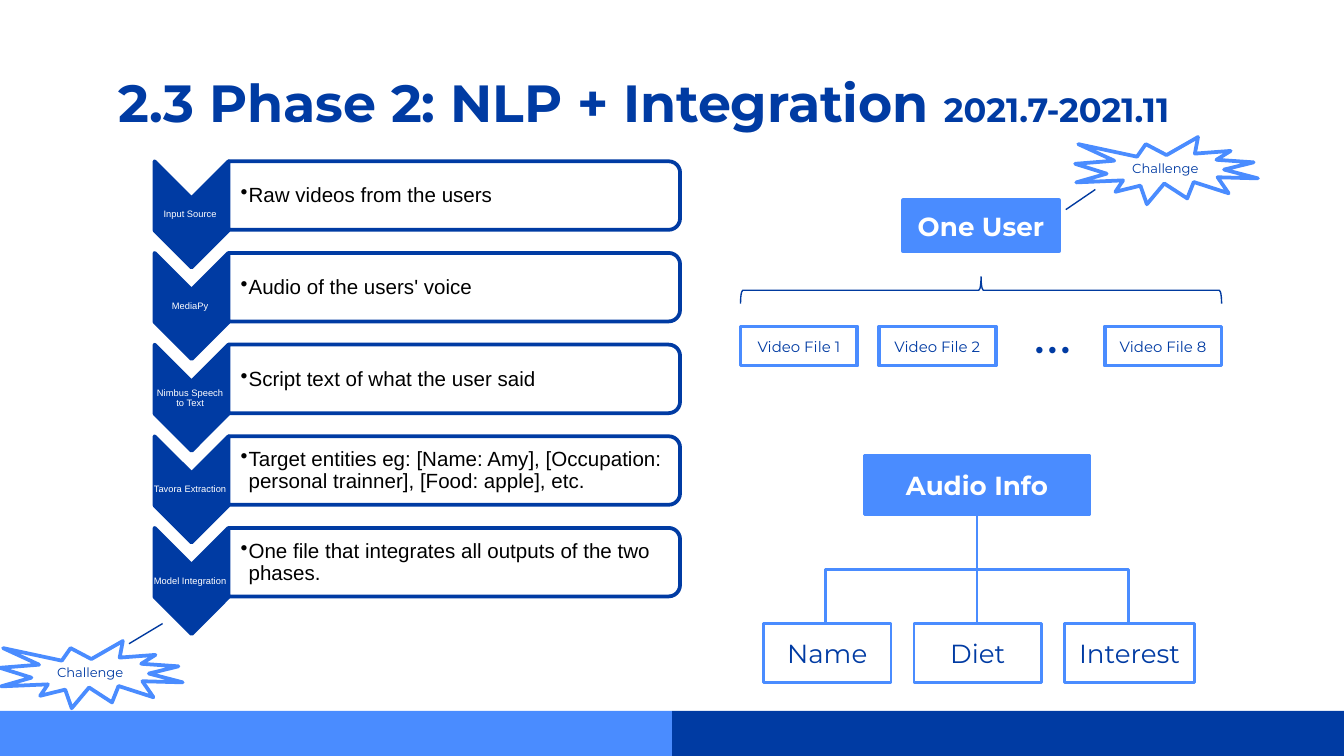
from dataclasses import dataclass

from lxml.etree import SubElement
from pptx import Presentation
from pptx.dml.color import RGBColor
from pptx.enum.shapes import MSO_CONNECTOR, MSO_SHAPE
from pptx.enum.text import MSO_ANCHOR, MSO_AUTO_SIZE, PP_ALIGN
from pptx.oxml.ns import qn
from pptx.util import Inches, Pt

NAVY, BLUE, WHITE, BLACK, INK = "003BA3", "4A8CFF", "FFFFFF", "000000", "003A9F"
UNIT = Inches(10) // 100  # the slide is a grid of 100 columns by 56.25 rows
SLIDE_ROWS = 56.25
STEP_ROWS = 6.82


@dataclass
class Box:
    """Place on the grid, in columns and rows."""
    x: float
    y: float
    w: float
    h: float

    def emu(self) -> list[int]:
        return [grid(v) for v in (self.x, self.y, self.w, self.h)]

    def turned(self) -> "Box":
        """The frame that covers this box after a quarter turn."""
        return Box(self.x + (self.w - self.h) / 2, self.y + (self.h - self.w) / 2, self.h, self.w)


@dataclass
class Label:
    text: str
    size: float
    color: str = NAVY
    bold: bool = False
    font: str = "Montserrat"


@dataclass
class Step:
    tool: str
    output: str


STEPS = [
    Step("Input Source", "Raw videos from the users"),
    Step("MediaPy", "Audio of the users' voice"),
    Step("Nimbus Speech to Text", "Script text of what the user said"),
    Step("Tavora Extraction",
         "Target entities eg: [Name: Amy], [Occupation: personal trainner], [Food: apple], etc."),
    Step("Model Integration", "One file that integrates all outputs of the two phases."),
]
VIDEOS = {"Video File 1": 55.1, "Video File 2": 65.4, "Video File 8": 82.2}
TOPICS = {"Name": Box(56.8, 46.4, 9.5, 4.4), "Diet": Box(68, 46.4, 9.5, 4.4),
          "Interest": Box(79.2, 46.4, 9.7, 4.4)}
CHALLENGES = {(80, 10.2): ((81.5, 14.1), (79.3, 15.6)),
              (0, 47.7): ((12.1, 46.4), (9.6, 47.9))}


def grid(v: float) -> int:
    return round(v * UNIT)


def rgb(color: str) -> RGBColor:
    return RGBColor.from_string(color)


def add_run(p, label: Label) -> None:
    r = p.add_run()
    r.text = label.text
    look = {"name": label.font, "size": Pt(label.size), "bold": label.bold}
    for name, value in look.items():
        setattr(r.font, name, value)
    r.font.color.rgb = rgb(label.color)


def write(sp, label: Label, margins=(0.1, 0.05, 0.1, 0.05), align=PP_ALIGN.CENTER,
          anchor=MSO_ANCHOR.MIDDLE, spacing: float = 1.0):
    tf = sp.text_frame
    left, top, right, bottom = map(Inches, margins)
    frame = {"word_wrap": True, "vertical_anchor": anchor, "margin_left": left,
             "margin_top": top, "margin_right": right, "margin_bottom": bottom}
    for name, value in frame.items():
        setattr(tf, name, value)
    p = tf.paragraphs[0]
    p.alignment, p.line_spacing = align, spacing
    add_run(p, label)
    return p


def add_shape(s, kind, box: Box, fill: str | None = None, line: str | None = None,
              width: float = 2, rotation: float = 0, label: Label | None = None):
    sp = s.shapes.add_shape(kind, *box.emu())
    sp.shadow.inherit = False
    sp.rotation = rotation
    if fill:
        sp.fill.solid()
        sp.fill.fore_color.rgb = rgb(fill)
    else:
        sp.fill.background()
    if line:
        sp.line.color.rgb = rgb(line)
        sp.line.width = Pt(width)
    else:
        sp.line.fill.background()
    if label:
        write(sp, label)
    return sp


def add_text(s, box: Box, label: Label, **layout):
    sp = s.shapes.add_textbox(*box.emu())
    return sp, write(sp, label, **layout)


def add_line(s, start, end, color: str, width: float, kind=MSO_CONNECTOR.STRAIGHT):
    c = s.shapes.add_connector(kind, *map(grid, (*start, *end)))
    c.line.color.rgb = rgb(color)
    c.line.width = Pt(width)
    SubElement(c._element.spPr, qn("a:effectLst"))
    return c


def add_branch(s, box: Box, to_right: bool) -> None:
    """Elbow that leaves vertically and joins two opposite corners of the box."""
    t = box.turned()
    c = add_line(s, (t.x, t.y), (t.x + t.w, t.y + t.h), BLUE, 1.5, MSO_CONNECTOR.ELBOW)
    xfrm = c._element.spPr.find(qn("a:xfrm"))
    xfrm.set("rot", "16200000")
    if to_right:
        xfrm.set("flipH", "1")


def add_step(s, step: Step, y: float) -> None:
    add_shape(s, MSO_SHAPE.CHEVRON, Box(11.5, y, 5.5, 7.9).turned(), NAVY, NAVY, rotation=90)
    add_text(s, Box(11.4, y + 2.8, 5.5, 2.4), Label(step.tool, 5, WHITE, font="Arial"),
             margins=(0, 0, 0, 0), spacing=0.9)
    add_shape(s, MSO_SHAPE.ROUND_2_SAME_RECTANGLE, Box(17, y, 33.6, 5.1).turned(),
              WHITE, NAVY, rotation=90)
    _, p = add_text(s, Box(17, y + 0.3, 33.4, 4.6), Label(step.output, 11, BLACK, font="Arial"),
                    margins=(0.09, 0.01, 0.01, 0.01), align=PP_ALIGN.LEFT, spacing=0.9)
    pPr = p._p.get_or_add_pPr()
    for name, inches in {"marL": 0.06, "indent": -0.06}.items():
        pPr.set(name, str(Inches(inches)))
    SubElement(pPr, qn("a:buChar")).set("char", "•")


def add_title(s) -> None:
    sp = s.shapes.title
    sp.left, sp.top, sp.width, sp.height = Box(7.8, 4.2, 84.3, 6.3).emu()
    p = write(sp, Label("2.3 Phase 2: NLP + Integration ", 28, bold=True),
              margins=(0.1,) * 4, align=PP_ALIGN.LEFT, anchor=MSO_ANCHOR.TOP)
    add_run(p, Label("2021.7-2021.11", 18, bold=True))
    sp.text_frame.auto_size = MSO_AUTO_SIZE.NONE


def add_audio_tree(s) -> None:
    rect, middle, top, bottom = MSO_SHAPE.RECTANGLE, 72.7, 38.3, 46.4
    reach = 11.25
    add_branch(s, Box(middle, top, reach, bottom - top), to_right=True)
    add_branch(s, Box(middle - reach, top, reach, bottom - top), to_right=False)
    add_shape(s, rect, Box(64.3, 33.9, 16.8, 4.4), BLUE, BLUE, 1.5,
              label=Label("Audio Info", 14, WHITE, True))
    for name, box in TOPICS.items():
        add_shape(s, rect, box, None, BLUE, 1.5, label=Label(name, 14))
    add_line(s, (middle, top), (middle, bottom), BLUE, 1.5)


def add_user_files(s) -> None:
    rect = MSO_SHAPE.RECTANGLE
    for name, x in VIDEOS.items():
        add_shape(s, rect, Box(x, 24.3, 8.7, 2.9), WHITE, BLUE, label=Label(name, 8))
    sp, _ = add_text(s, Box(71.6, 21.4, 13.5, 6.4), Label("...", 32), anchor=MSO_ANCHOR.TOP)
    sp.text_frame.auto_size = MSO_AUTO_SIZE.SHAPE_TO_FIT_TEXT
    brace = add_shape(s, MSO_SHAPE.RIGHT_BRACE, Box(55.1, 20.6, 35.8, 2).turned(),
                      None, INK, 0.75, 90)
    brace._element.spPr.find(qn("a:xfrm")).set("flipH", "1")
    add_shape(s, rect, Box(67.2, 14.9, 11.6, 3.8), BLUE, BLUE,
              label=Label("One User", 14, WHITE, True))


def main() -> None:
    prs = Presentation()
    prs.slide_width, prs.slide_height = grid(100), grid(SLIDE_ROWS)
    s = prs.slides.add_slide(prs.slide_layouts[5])
    for x, color in ((50, NAVY), (0, BLUE)):
        add_shape(s, MSO_SHAPE.RECTANGLE, Box(x, 52.9, 50, SLIDE_ROWS - 52.9), color)
    add_audio_tree(s)
    for i, step in enumerate(STEPS):
        add_step(s, step, 12 + i * STEP_ROWS)
    add_title(s)
    add_user_files(s)
    for (x, y), (start, end) in CHALLENGES.items():
        add_shape(s, MSO_SHAPE.EXPLOSION1, Box(x, y, 13.6, 5), WHITE, BLUE,
                  label=Label("Challenge", 7))
        add_line(s, start, end, INK, 0.75)
    prs.save("out.pptx")


if __name__ == "__main__":
    main()
